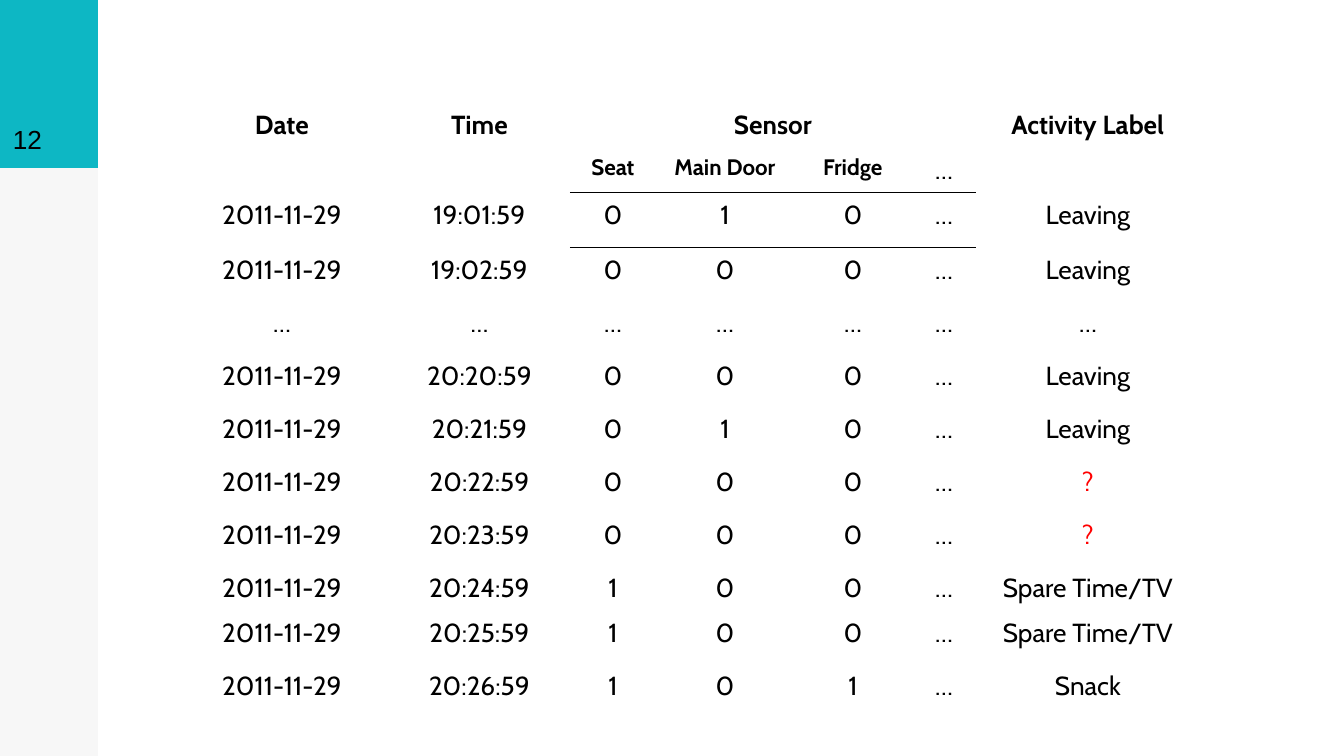
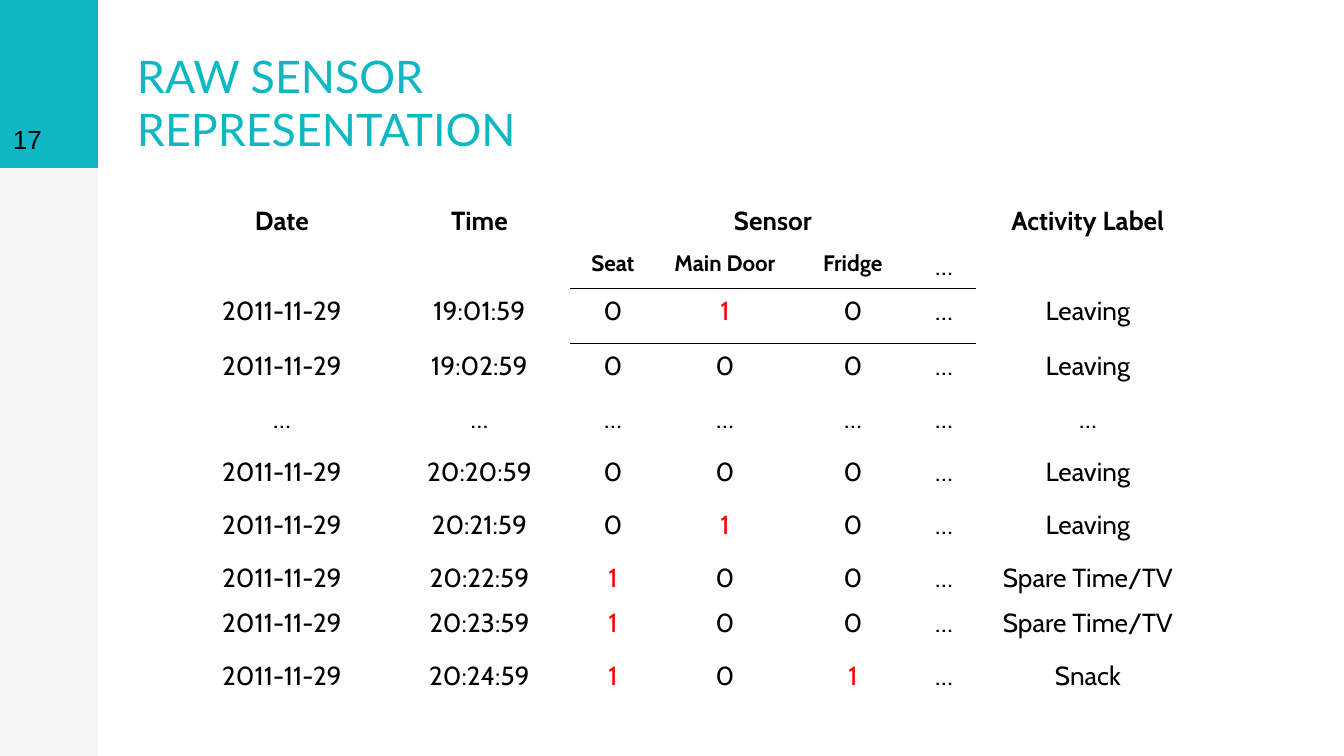
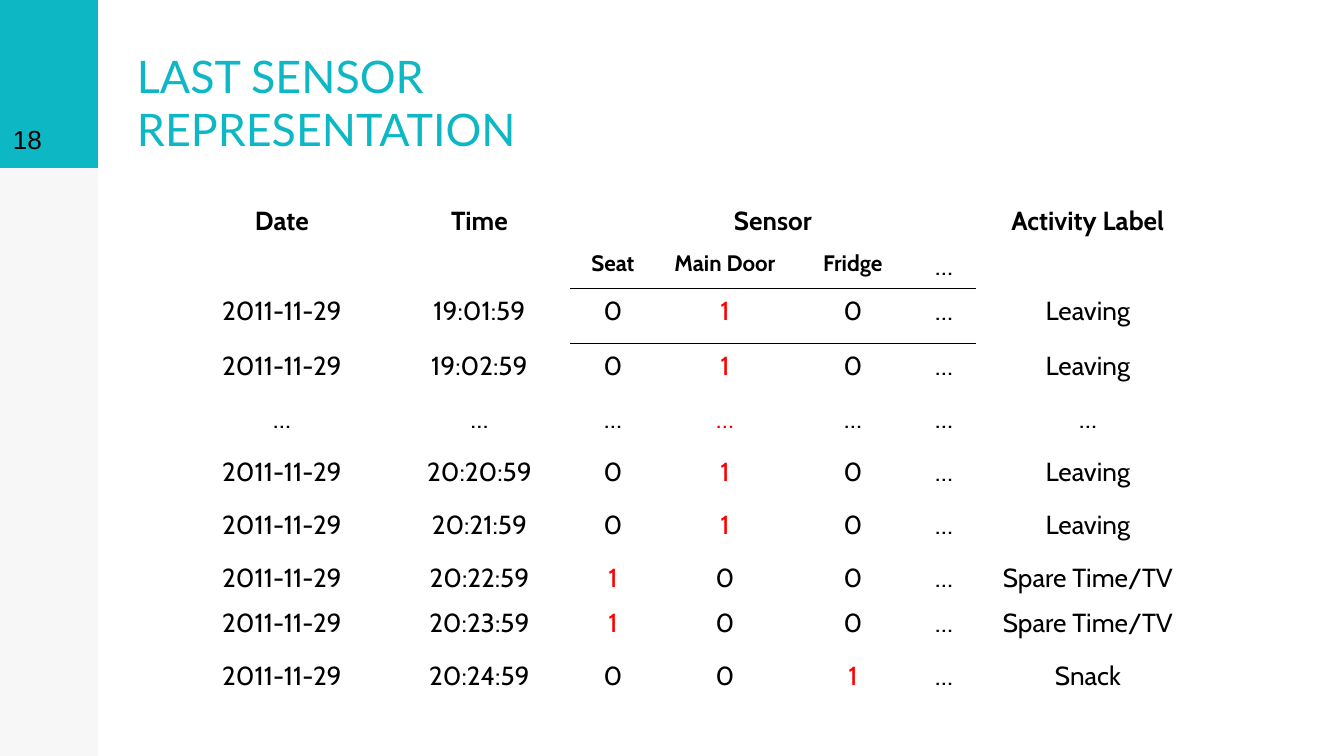
"""Build three slides of sensor tables with a shared side band and title style."""
import pptx
import pptx.dml.color
import pptx.enum.shapes
import pptx.enum.text
import pptx.oxml
import pptx.oxml.ns
import pptx.util

INK = {"teal": "0DB7C4", "black": "000000", "red": "FF0000"}
WIDE, TALL = 1344, 756
BAND, HEAD = 98, 168
LEFT = 175
COLS = [214, 181, 86, 138, 118, 64, 224]
SUBS = ["Seat", "Main Door", "Fridge", "…"]
DAY = "2011-11-29"
NO_GRID = "{2D5ABB26-0587-4C30-8999-92F81FD0307C}"
ALIGN = pptx.enum.text.PP_ALIGN

EARLY = ["19:01:59|0|1|0|Leaving", "19:02:59|0|0|0|Leaving", "…|…|…|…|…",
         "20:20:59|0|0|0|Leaving", "20:21:59|0|1|0|Leaving"]
GAPS = EARLY + ["20:22:59|0|0|0|*?", "20:23:59|0|0|0|*?",
                "20:24:59|1|0|0|Spare Time/TV", "20:25:59|1|0|0|Spare Time/TV",
                "20:26:59|1|0|1|Snack"]
SPARE = ["20:22:59|*1|0|0|Spare Time/TV", "20:23:59|*1|0|0|Spare Time/TV"]
RAW = [row.replace("|1|", "|*1|") for row in EARLY] + SPARE + ["20:24:59|*1|0|*1|Snack"]
LAST = ["19:01:59|0|*1|0|Leaving", "19:02:59|0|*1|0|Leaving", "…|…|*…|…|…",
        "20:20:59|0|*1|0|Leaving", "20:21:59|0|*1|0|Leaving"]
LAST += SPARE + ["20:24:59|0|0|*1|Snack"]


def px(count):
    """Turn pixels into EMU."""
    return pptx.util.Emu(round(count * 914400 / 134.4))


def box(*sides):
    """Turn several pixel lengths into EMU."""
    return [px(side) for side in sides]


def tint(name):
    """Look up a colour by name."""
    return pptx.dml.color.RGBColor.from_string(INK[name])


def write(frame, words, size=14, font="Cabin", ink="black", bold=False, align=ALIGN.CENTER):
    """Write one formatted paragraph into a text frame."""
    line = frame.paragraphs[0]
    line.alignment = align
    run = line.add_run()
    run.text = words
    run.font.size = pptx.util.Pt(size)
    run.font.name = font
    run.font.bold = bold
    run.font.color.rgb = tint(ink)


def seat_low(frame):
    """Wrap a frame's text and rest it on the bottom edge."""
    frame.word_wrap = True
    frame.auto_size = pptx.enum.text.MSO_AUTO_SIZE.NONE
    frame.vertical_anchor = pptx.enum.text.MSO_ANCHOR.BOTTOM
    frame.margin_left = frame.margin_right = px(13)
    frame.margin_top = frame.margin_bottom = px(13)


def bar(slide, height, ink, alpha=None):
    """Draw a plain bar down the left edge."""
    shape = slide.shapes.add_shape(
        pptx.enum.shapes.MSO_SHAPE.RECTANGLE, *box(0, 0, BAND, height))
    shape.shadow.inherit = False
    shape.line.fill.background()
    shape.fill.solid()
    shape.fill.fore_color.rgb = tint(ink)
    if alpha:
        color = shape.fill._xPr.find(".//" + pptx.oxml.ns.qn("a:srgbClr"))
        color.append(pptx.oxml.parse_xml(
            f'<a:alpha {pptx.oxml.ns.nsdecls("a")} val="{alpha * 1000}"/>'))


def frame_up(slide, number):
    """Add the side band and the slide number."""
    bar(slide, TALL, "black", alpha=3)
    bar(slide, HEAD, "teal")
    frame = slide.shapes.add_textbox(*box(0, 0, BAND, HEAD)).text_frame
    seat_low(frame)
    write(frame, str(number), font="Arial", align=ALIGN.LEFT)


def title(slide, words, width):
    """Place and format the title."""
    shape = slide.shapes.title
    shape.left, shape.top, shape.width, shape.height = box(124, 1, width, HEAD)
    seat_low(shape.text_frame)
    write(shape.text_frame, words, size=24, font="Lato", ink="teal", align=ALIGN.LEFT)


def rule(cell, side):
    """Draw a thin black border on one side of a cell."""
    cell._tc.get_or_add_tcPr().insert(0, pptx.oxml.parse_xml(
        f'<a:ln{side} {pptx.oxml.ns.nsdecls("a")} w="12700"><a:solidFill>'
        f'<a:srgbClr val="{INK["black"]}"/></a:solidFill></a:ln{side}>'))


def fill_row(table, index, words, **style):
    """Write one row of cells, with starred words in red."""
    for cell, word in zip(table.rows[index].cells, words):
        ink = "red" if word.startswith("*") else "black"
        write(cell.text_frame, word.lstrip("*"), ink=ink, **style)


def grid(slide, top, lines):
    """Build the sensor table."""
    rows = [42, 42, 55] + [53] * (len(lines) - 4) + [45, 53, 53]
    shape = slide.shapes.add_table(
        len(rows), len(COLS), *box(LEFT, top, sum(COLS), sum(rows)))
    table = shape.table
    table.first_row = table.horz_banding = False
    table._tbl.tblPr.find(pptx.oxml.ns.qn("a:tableStyleId")).text = NO_GRID
    for column, width in zip(table.columns, COLS):
        column.width = px(width)
    for row, height in zip(table.rows, rows):
        row.height = px(height)
    for cell in table.iter_cells():
        cell.fill.background()
    fill_row(table, 0, ["Date", "Time", "Sensor", "", "", "", "Activity Label"], bold=True)
    for col, word in enumerate(SUBS, 2):
        dots = word == "…"
        write(table.cell(1, col).text_frame, word, size=14 if dots else 12, bold=not dots)
        rule(table.cell(1, col), "B")
        rule(table.cell(2, col), "T")
    for index, line in enumerate(lines, 2):
        time, *marks, label = line.split("|")
        day = "…" if time == "…" else DAY
        fill_row(table, index, [day, time, *marks, "…", label])
    for col in (0, 1, 6):
        table.cell(0, col).merge(table.cell(1, col))
    table.cell(0, 2).merge(table.cell(0, 5))


def main():
    """Build and save the deck."""
    deck = pptx.Presentation()
    deck.slide_width, deck.slide_height = box(WIDE, TALL)
    pages = [(12, None, 0, 102, GAPS),
             (17, "RAW SENSOR REPRESENTATION", 590, 198, RAW),
             (18, "LAST SENSOR REPRESENTATION", 612, 198, LAST)]
    for number, words, width, top, lines in pages:
        slide = deck.slides.add_slide(deck.slide_layouts[5 if words else 6])
        frame_up(slide, number)
        grid(slide, top, lines)
        if words:
            title(slide, words, width)
    deck.save("out.pptx")


if __name__ == "__main__":
    main()
